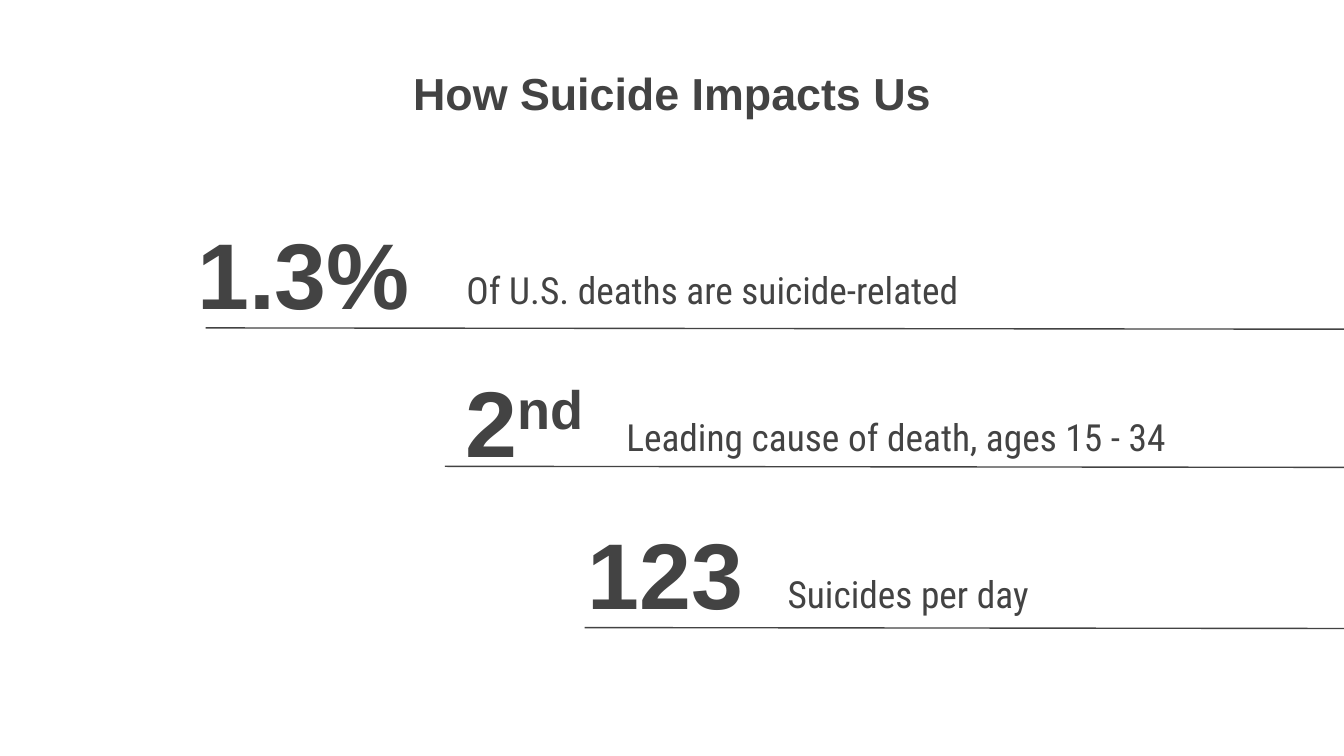
from dataclasses import dataclass

from lxml.etree import SubElement
from pptx import Presentation
from pptx.dml.color import RGBColor
from pptx.enum.shapes import MSO_CONNECTOR
from pptx.enum.text import MSO_ANCHOR, MSO_AUTO_SIZE, PP_ALIGN
from pptx.oxml.ns import qn
from pptx.util import Inches, Pt

COLORS = {"ink": "434343", "paper": "FFFFFF"}
HEADING = {"name": "Arial", "size": Pt(24), "bold": True}
FIGURE = {"name": "Arial", "size": Pt(50), "bold": True}
CAPTION = {"name": "Roboto Condensed", "size": Pt(20), "bold": False}
FRAME = {
    "word_wrap": True,
    "auto_size": MSO_AUTO_SIZE.NONE,
    **{f"margin_{side}": Inches(0.1) for side in ("left", "right", "top", "bottom")},
}
FIGURE_HEIGHT, CAPTION_HEIGHT = 0.83, 0.37
RULE_LENGTH, RULE_DROP = 8.66, 0.01


@dataclass
class Stat:
    """A figure's texts and box, with caption and rule offsets from that box."""
    figure: str
    suffix: str
    caption: str
    box: tuple
    caption_offset: tuple
    caption_width: float
    rule_offset: tuple


STATS = [
    Stat("1.3%", "", "Of U.S. deaths are suicide-related",
         (1.19, 1.61, 1.96), (2.18, 0.36), 4.39, (0.34, 0.83)),
    Stat("2", "nd", "Leading cause of death, ages 15 - 34",
         (2.51, 2.71, 1.93), (2.05, 0.35), 4.47, (0.8, 0.76)),
    Stat("123", "", "Suicides per day",
         (3.67, 3.84, 1.96), (2.09, 0.39), 4.3, (0.68, 0.83)),
]


def set_all(target, values):
    for name, value in values.items():
        setattr(target, name, value)


def place(shape, left, top, width, height):
    set_all(shape, {"left": Inches(left), "top": Inches(top),
                    "width": Inches(width), "height": Inches(height)})


def write(shape, text, font, align, anchor=MSO_ANCHOR.MIDDLE):
    """Fill a shape with one unbulleted paragraph and return the paragraph."""
    frame = shape.text_frame
    set_all(frame, {**FRAME, "vertical_anchor": anchor})
    paragraph = frame.paragraphs[0]
    set_all(paragraph, {"alignment": align, "line_spacing": 1.0,
                        "space_before": Pt(0), "space_after": Pt(0)})
    properties = paragraph._p.get_or_add_pPr()
    properties.set("marL", "0")
    properties.set("indent", "0")
    SubElement(properties, qn("a:buNone"))
    add_run(paragraph, text, font)
    return paragraph


def add_run(paragraph, text, font):
    run = paragraph.add_run()
    run.text = text
    set_all(run.font, font)
    run.font.color.rgb = RGBColor.from_string(COLORS["ink"])
    return run


def add_heading(title, left, top, width, height):
    place(title, left, top, width, height)
    write(title, "How Suicide Impacts Us", HEADING, PP_ALIGN.CENTER, MSO_ANCHOR.TOP)


def add_rule(slide, left, top):
    rule = slide.shapes.add_connector(
        MSO_CONNECTOR.STRAIGHT, Inches(left), Inches(top),
        Inches(left + RULE_LENGTH), Inches(top + RULE_DROP))
    rule.line.color.rgb = RGBColor.from_string(COLORS["ink"])
    rule.line.width = Pt(0.75)
    SubElement(rule._element.spPr, qn("a:effectLst"))


def add_stat(slide, caption, stat):
    left, top, width = stat.box
    figure = slide.shapes.add_textbox(
        Inches(left), Inches(top), Inches(width), Inches(FIGURE_HEIGHT))
    paragraph = write(figure, stat.figure, FIGURE, PP_ALIGN.RIGHT)
    if stat.suffix:
        suffix = add_run(paragraph, stat.suffix, FIGURE)
        suffix.font._element.set("baseline", "30000")

    dx, dy = stat.caption_offset
    place(caption, left + dx, top + dy, stat.caption_width, CAPTION_HEIGHT)
    write(caption, stat.caption, CAPTION, PP_ALIGN.LEFT)

    dx, dy = stat.rule_offset
    add_rule(slide, left + dx, top + dy)


def main():
    deck = Presentation()
    deck.slide_width = Inches(10)
    deck.slide_height = deck.slide_width * 9 // 16
    slide = deck.slides.add_slide(deck.slide_layouts.get_by_name("Comparison"))
    slide.background.fill.solid()
    slide.background.fill.fore_color.rgb = RGBColor.from_string(COLORS["paper"])

    title, *captions = slide.placeholders
    add_heading(title, 2.15, 0.39, 5.7, 1.03)
    for caption, stat in zip(captions, STATS):
        add_stat(slide, caption, stat)
    for unused in captions[len(STATS):]:
        unused._element.getparent().remove(unused._element)

    deck.save("out.pptx")


if __name__ == "__main__":
    main()
